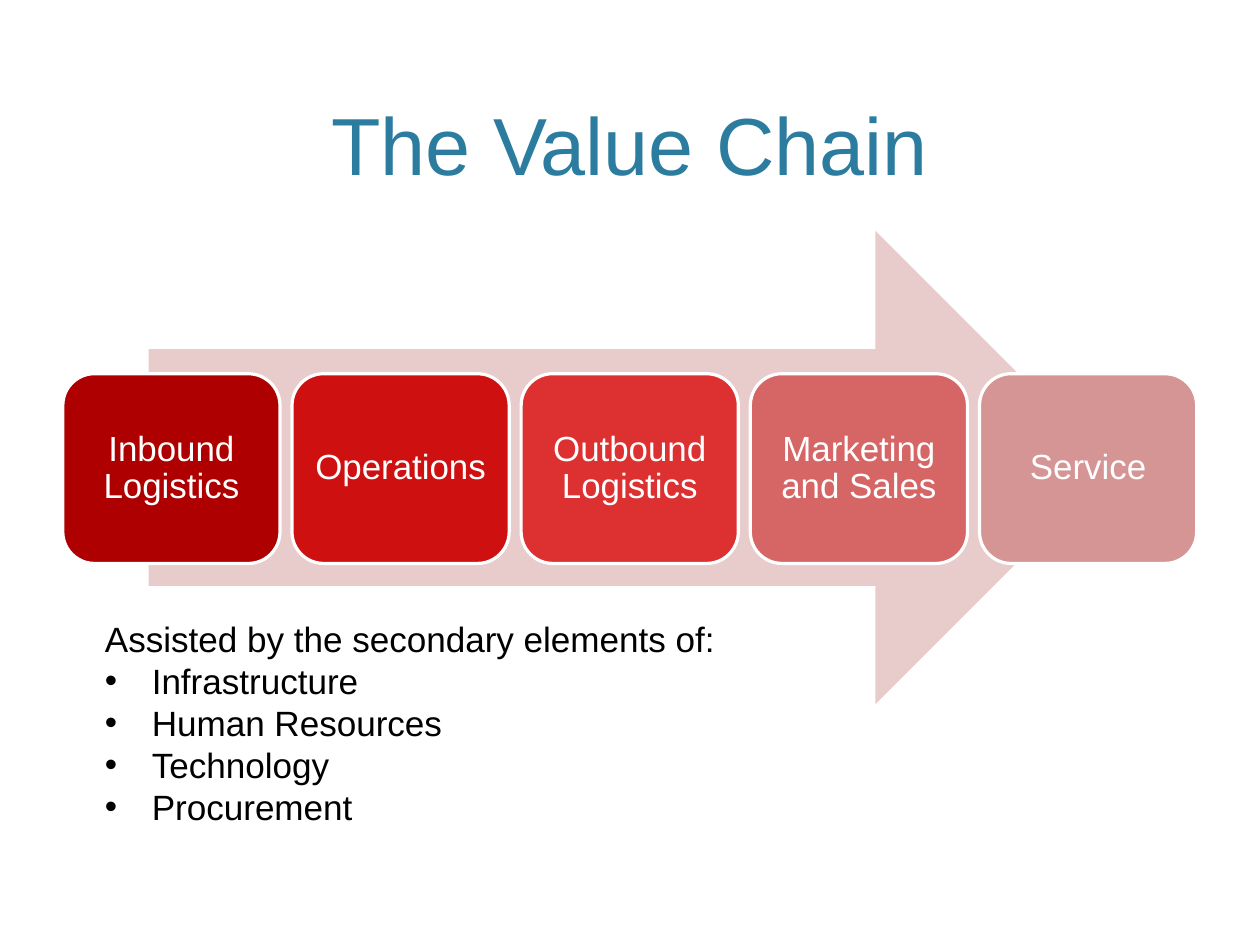
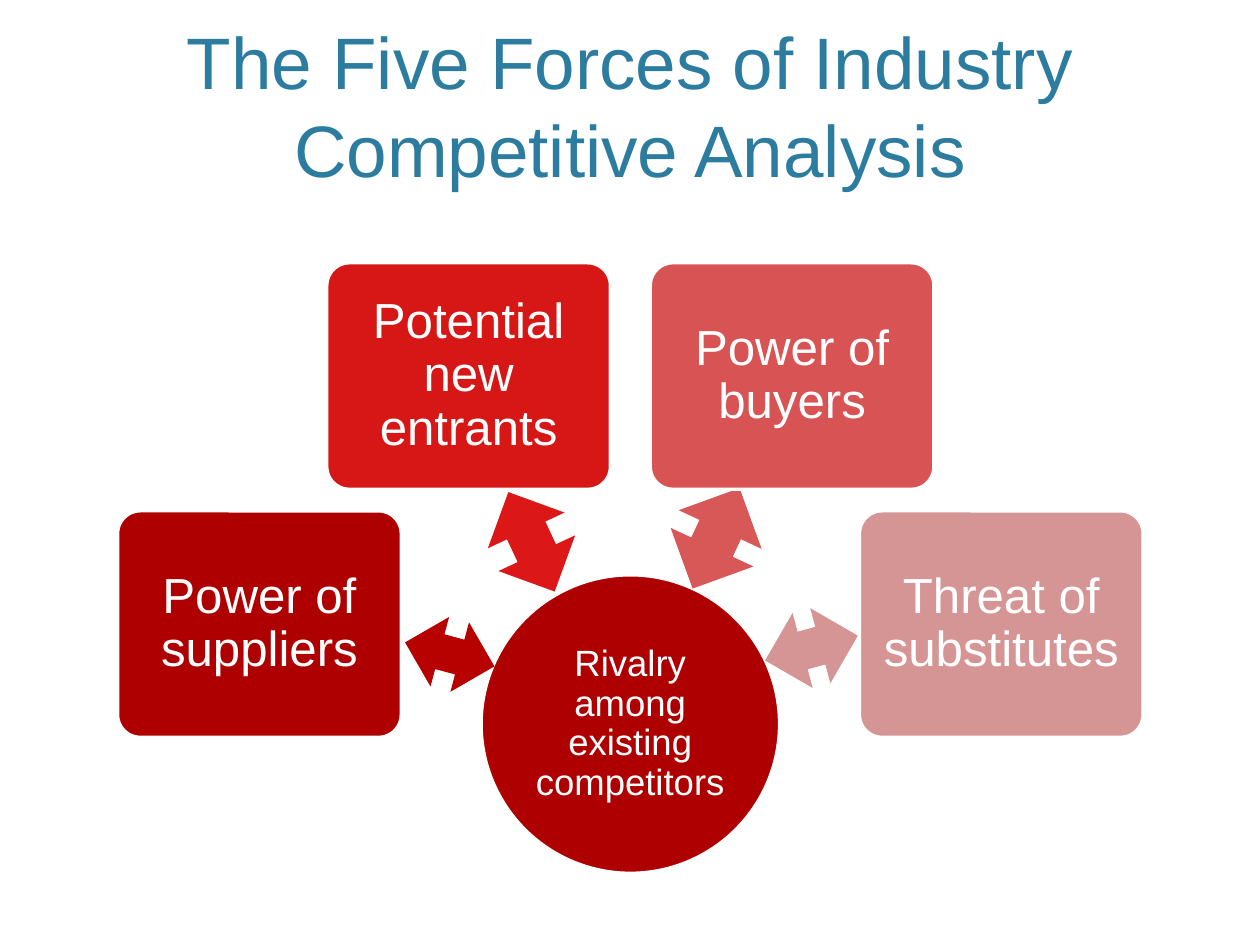
from dataclasses import dataclass

from lxml import etree
from pptx import Presentation
from pptx import util as u
from pptx.dml.color import RGBColor
from pptx.enum import shapes, text
from pptx.oxml.ns import qn

Inches, Pt = u.Inches, u.Pt
KIND, ALIGN, ANCHOR = shapes.MSO_SHAPE, text.PP_ALIGN, text.MSO_ANCHOR


@dataclass(frozen=True)
class Theme:
    font: str = "Arial"
    title_color: str = "2C7C9F"
    body_color: str = "000000"
    white: str = "FFFFFF"
    band: str = "E8CCCC"
    deep_red: str = "AE0000"
    chain_title: float = 51
    forces_title: float = 45.9
    body: float = 22.1
    step: float = 22
    hub: float = 23
    force: float = 31


theme = Theme()


def write(frame, lines, size, color, inset, anchor, align, spacing):
    """Fill a text frame with lines that share one format."""
    frame.text = "\n".join(lines)
    layout = dict(word_wrap=True, auto_size=text.MSO_AUTO_SIZE.NONE, vertical_anchor=anchor,
                  margin_left=Inches(inset[0]), margin_right=Inches(inset[0]),
                  margin_top=Inches(inset[1]), margin_bottom=Inches(inset[1]))
    for name, value in layout.items():
        setattr(frame, name, value)
    for paragraph in frame.paragraphs:
        paragraph.alignment, paragraph.line_spacing = align, spacing
        for run in paragraph.runs:
            run.font.name, run.font.size = theme.font, Pt(size)
            run.font.color.rgb = RGBColor.from_string(color)


def draw(slide, kind, place, fill, label=None, size=None, inset=0, corner=None, turn=0):
    """Add a flat shape; labelled shapes get a white outline and white text."""
    shape = slide.shapes.add_shape(kind, *map(Inches, place))
    shape.shadow.inherit = False
    shape.rotation = turn
    shape.fill.solid()
    shape.fill.fore_color.rgb = RGBColor.from_string(fill)
    if corner is not None:
        shape.adjustments[0] = corner
    if label is None:
        shape.line.fill.background()
        return
    shape.line.color.rgb = RGBColor.from_string(theme.white)
    shape.line.width = Pt(2)
    write(shape.text_frame, [label], size, theme.white, (inset, inset),
          ANCHOR.MIDDLE, ALIGN.CENTER, 0.9)


# Metric page, 28 by 21 cm
prs = Presentation()
prs.slide_width, prs.slide_height = u.Cm(28), u.Cm(21)

# Both slides with their shared title style
pages = []
for heading, size in [("The Value Chain", theme.chain_title),
                      ("The Five Forces of Industry Competitive Analysis", theme.forces_title)]:
    page = prs.slides.add_slide(prs.slide_layouts[5])
    title = page.shapes.title
    title.left, title.top, title.width, title.height = map(Inches, (0.66, 0.13, 9.7, 1.61))
    write(title.text_frame, [heading], size, theme.title_color, (0.11, 0.06),
          ANCHOR.BOTTOM, ALIGN.CENTER, 1.0)
    pages.append(page)
chain, forces = pages

# Value chain: arrow behind five evenly spaced steps
draw(chain, KIND.RIGHT_ARROW, (1.3, 2.02, 8.43, 4.14), theme.band)
steps = [("Inbound Logistics", theme.deep_red), ("Operations", "CE1010"),
         ("Outbound Logistics", "DD3030"), ("Marketing and Sales", "D66666"),
         ("Service", "D69595")]
first_left, last_left, step_width = 0.55, 8.57, 1.9
pitch = (last_left - first_left) / (len(steps) - 1)
for i, (label, fill) in enumerate(steps):
    draw(chain, KIND.ROUNDED_RECTANGLE, (first_left + i * pitch, 3.27, step_width, 1.66),
         fill, label, theme.step, 0.09)

# Secondary elements: lead-in and bulleted list
support = chain.shapes.add_textbox(*map(Inches, (0.82, 5.35, 9.66, 1.96))).text_frame
write(support, ["Assisted by the secondary elements of:", "Infrastructure", "Human Resources",
                "Technology", "Procurement"],
      theme.body, theme.body_color, (0.1, 0.05), ANCHOR.TOP, ALIGN.LEFT, 1.0)
for element in support.paragraphs[1:]:
    props = element._p.get_or_add_pPr()
    props.set("marL", str(Inches(0.41)))
    props.set("indent", str(-Inches(0.41)))
    etree.SubElement(props, qn("a:buFont")).set("typeface", theme.font)
    etree.SubElement(props, qn("a:buChar")).set("char", "•")

# Five forces: hub, then each arrow with its force
draw(forces, KIND.OVAL, (4.21, 5.03, 2.61, 2.61), theme.deep_red,
     "Rivalry among existing competitors", theme.hub, 0.02)
outer_top, inner_top = 4.47, 2.3
around = [
    ("Power of suppliers", 1.03, outer_top, theme.deep_red, (3.53, 5.41, 0.81, 0.63), "B70000"),
    ("Potential new entrants", 2.86, inner_top, "D71616", (4.17, 4.37, 0.96, 0.74), "DC1717"),
    ("Power of buyers", 5.69, inner_top, "D85454", (5.78, 4.31, 0.97, 0.8), "D85757"),
    ("Threat of substitutes", 7.52, outer_top, "D69595", (6.68, 5.33, 0.84, 0.68), "D69595"),
]
for i, (label, left, top, fill, arrow_place, arrow_fill) in enumerate(around):
    draw(forces, KIND.LEFT_RIGHT_ARROW, arrow_place, arrow_fill, turn=195 + 50 * i)
    draw(forces, KIND.ROUNDED_RECTANGLE, (left, top, 2.48, 1.98), fill, label,
         theme.force, 0.06, corner=0.1)

prs.save("out.pptx")
